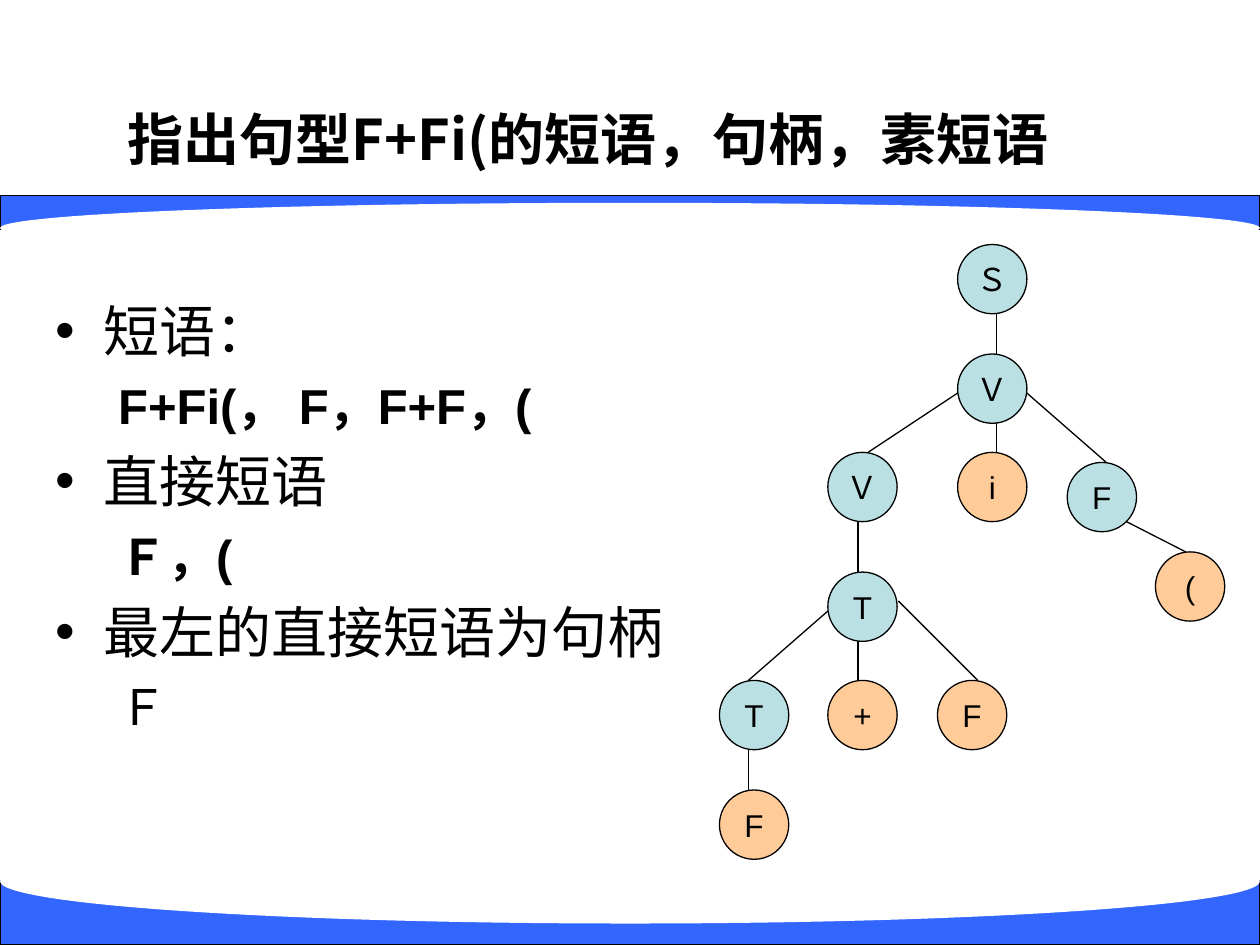
"""Build the slide on phrases and handles with its syntax tree."""
from lxml.etree import SubElement
from pptx import Presentation
from pptx.dml.color import RGBColor
from pptx.enum.shapes import MSO_CONNECTOR, MSO_SHAPE
from pptx.enum.text import MSO_ANCHOR, PP_ALIGN
from pptx.oxml.ns import qn
from pptx.util import Inches, Pt

COLORS = {"band": "3366FF", "white": "FFFFFF", "black": "000000",
          "inner": "BBE0E3", "leaf": "FFCC99"}
CJK = "Noto Sans CJK SC"
NODE = 0.55


def add_shape(kind, x, y, w, h, fill, outlined=True):
    sp = s.shapes.add_shape(kind, Inches(x), Inches(y), Inches(w), Inches(h))
    sp.shadow.inherit = False
    sp.fill.solid()
    sp.fill.fore_color.rgb = RGBColor.from_string(COLORS[fill])
    if outlined:
        sp.line.color.rgb = RGBColor.from_string(COLORS["black"])
        sp.line.width = Pt(0.75)
    else:
        sp.line.fill.background()
    return sp


def format_text(p, size, bold=False, font="Arial"):
    for r in p.runs:
        r.font.size = Pt(size)
        r.font.bold = bold
        r.font.name = font
        r.font.color.rgb = RGBColor.from_string(COLORS["black"])
        SubElement(r.font._element, qn("a:ea")).set("typeface", font)


prs = Presentation()
prs.slide_width, prs.slide_height = Inches(10), Inches(7.5)
s = prs.slides.add_slide(prs.slide_layouts[6])

for band_y, band_h, curve_y, curve_h in [(1.55, 0.27, 1.61, 0.4), (6.99, 0.51, 6.66, 0.67)]:
    add_shape(MSO_SHAPE.RECTANGLE, 0, band_y, 10, band_h, "band")
    add_shape(MSO_SHAPE.OVAL, 0, curve_y, 10, curve_h, "white", outlined=False)

title = s.shapes.add_textbox(Inches(0), Inches(0.75), Inches(9.34), Inches(0.69))
tf = title.text_frame
tf.word_wrap = True
tf.vertical_anchor = MSO_ANCHOR.MIDDLE
p = tf.paragraphs[0]
p.text = "指出句型F+Fi(的短语，句柄，素短语"
p.alignment = PP_ALIGN.CENTER
format_text(p, 32, True, CJK)

body = s.shapes.add_textbox(Inches(0.34), Inches(2.3), Inches(5.67), Inches(4.25))
tf = body.text_frame
tf.word_wrap = True
lines = [
    ("短语：", True, False),
    ("F+Fi(， F，F+F，(", False, True),
    ("直接短语", True, False),
    ("Ｆ，(", False, True),
    ("最左的直接短语为句柄", True, False),
    ("Ｆ", False, False),
]
for i, (text, bulleted, bold) in enumerate(lines):
    p = tf.paragraphs[0] if i == 0 else tf.add_paragraph()
    p.text = text
    pPr = p._p.get_or_add_pPr()
    margin, indent = (0.38, -0.38) if bulleted else (0.81, -0.31)
    pPr.set("marL", str(Inches(margin)))
    pPr.set("indent", str(Inches(indent)))
    if bulleted:
        SubElement(pPr, qn("a:buFont")).set("typeface", "Arial")
        SubElement(pPr, qn("a:buChar")).set("char", "•")
    else:
        SubElement(pPr, qn("a:buNone"))
    if i:
        p.space_before = Pt(7)
    format_text(p, 32 if bulleted else 28, bold)

nodes = [
    ("Ｓ", 7.6, 1.94, "inner"),
    ("Ｖ", 7.6, 2.81, "inner"),
    ("i", 7.6, 3.59, "leaf"),
    ("Ｖ", 6.57, 3.59, "inner"),
    ("F", 8.47, 3.67, "inner"),
    ("(", 9.17, 4.38, "leaf"),
    ("T", 6.57, 4.54, "inner"),
    ("F", 7.44, 5.4, "leaf"),
    ("T", 5.71, 5.4, "inner"),
    ("+", 6.57, 5.4, "leaf"),
    ("F", 5.71, 6.27, "leaf"),
]
for label, x, y, fill in nodes:
    sp = add_shape(MSO_SHAPE.OVAL, x, y, NODE, NODE, fill)
    tf = sp.text_frame
    tf.word_wrap = False
    tf.vertical_anchor = MSO_ANCHOR.MIDDLE
    p = tf.paragraphs[0]
    p.text = label
    p.alignment = PP_ALIGN.CENTER
    format_text(p, 18)

edges = [
    (7.91, 2.49, 7.91, 2.81),
    (7.91, 3.36, 7.91, 3.59),
    (7.6, 3.12, 6.89, 3.59),
    (8.15, 3.12, 8.78, 3.67),
    (8.94, 4.14, 9.41, 4.38),
    (6.81, 4.14, 6.81, 4.54),
    (6.81, 5.09, 6.81, 5.4),
    (6.57, 4.85, 5.94, 5.4),
    (7.13, 4.77, 7.76, 5.4),
    (5.94, 5.95, 5.94, 6.27),
]
for edge in edges:
    line = s.shapes.add_connector(MSO_CONNECTOR.STRAIGHT, *[Inches(v) for v in edge])
    line.line.color.rgb = RGBColor.from_string(COLORS["black"])
    line.line.width = Pt(0.75)
    SubElement(line._element.spPr, qn("a:effectLst"))

prs.save("out.pptx")
